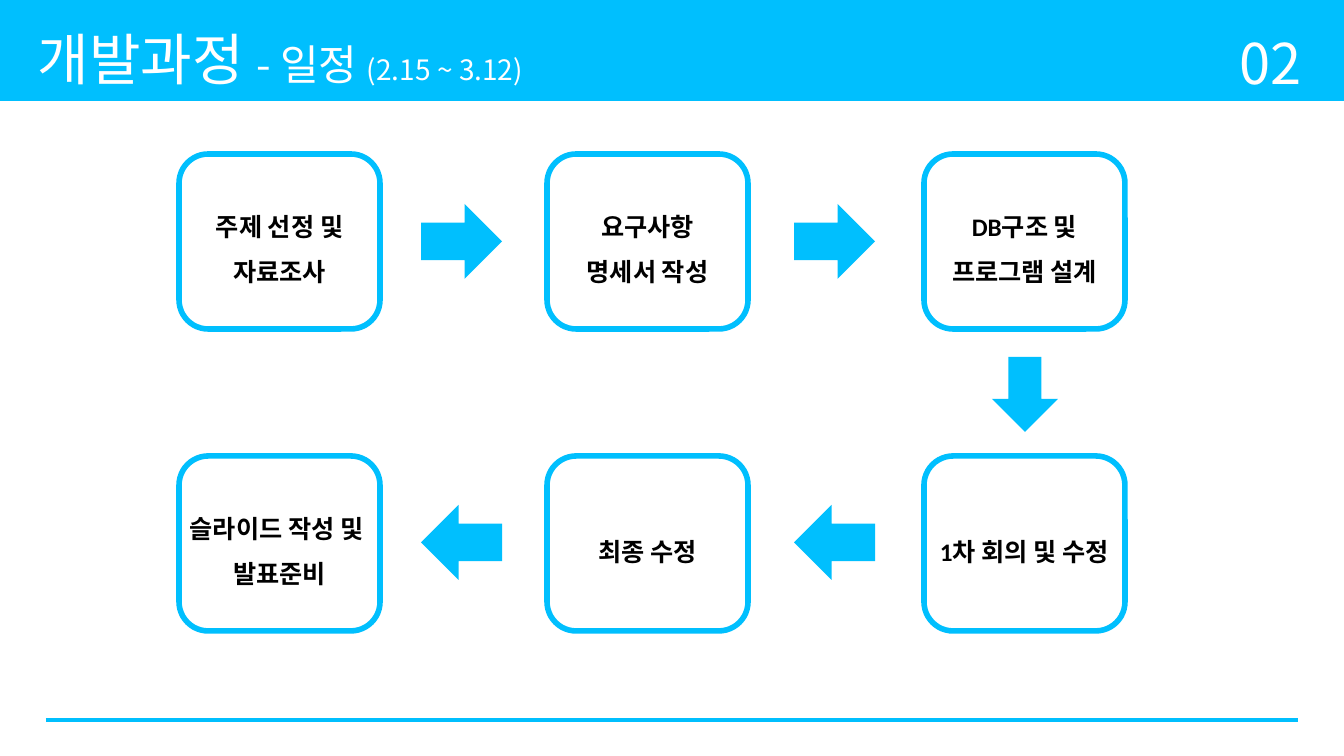
from lxml import etree
from pptx import Presentation
from pptx.dml.color import RGBColor
from pptx.enum.shapes import MSO_CONNECTOR, MSO_SHAPE
from pptx.enum.text import MSO_ANCHOR, PP_ALIGN
from pptx.oxml.ns import qn
from pptx.util import Pt

PX = 914400 / 100.8
SKY = RGBColor(0x00, 0xBF, 0xFE)
WHITE = RGBColor(0xFF, 0xFF, 0xFF)
BLACK = RGBColor(0x00, 0x00, 0x00)
HANGUL = "Noto Sans CJK KR"
LATIN = "Calibri"

RECT = MSO_SHAPE.RECTANGLE
ROUND = MSO_SHAPE.ROUNDED_RECTANGLE
RIGHT = MSO_SHAPE.RIGHT_ARROW
LEFT = MSO_SHAPE.LEFT_ARROW
DOWN = MSO_SHAPE.DOWN_ARROW
STRAIGHT = MSO_CONNECTOR.STRAIGHT
MIDDLE = MSO_ANCHOR.MIDDLE
CENTER = PP_ALIGN.CENTER

COLS = (179, 547, 924)
GAPS = (421, 794)
# Each row: top of its boxes, top of its arrows, arrow kind, box texts
ROWS = (
    (154, 204, RIGHT,
     ("주제 선정 및 자료조사", "요구사항\n명세서 작성", "DB구조 및\n프로그램 설계")),
    (456, 505, LEFT,
     ("슬라이드 작성 및 \n발표준비", "최종 수정", "1차 회의 및 수정")),
)


def px(*nums):
    return [round(n * PX) for n in nums]


def style(run, size, color, face, bold=False):
    """Format a run, with one font for Latin and another for Hangul."""
    font = run.font
    font.size, font.bold, font.name = Pt(size), bold, face
    font.color.rgb = color
    asian = etree.Element(qn("a:ea"), typeface=HANGUL)
    run._r.rPr.find(qn("a:latin")).addnext(asian)


def add_solid(slide, kind, *box):
    shape = slide.shapes.add_shape(kind, *px(*box))
    shape.shadow.inherit = False
    shape.fill.solid()
    shape.fill.fore_color.rgb = SKY
    shape.line.fill.background()
    return shape


def add_step(slide, text, left, top):
    shape = add_solid(slide, ROUND, left, top, 201, 175)
    shape.fill.fore_color.rgb = WHITE
    shape.line.color.rgb = SKY
    shape.line.width = Pt(4)
    frame = shape.text_frame
    frame.margin_left = frame.margin_right = 0
    frame.word_wrap = True
    frame.vertical_anchor = MIDDLE
    frame.text = text
    for para in frame.paragraphs:
        para.alignment = CENTER
        para.line_spacing = 1.5
        for run in para.runs:
            style(run, 18, BLACK, LATIN, True)


def add_label(slide, parts, *box):
    """Write one line from (text, size) parts."""
    frame = slide.shapes.add_textbox(*px(*box)).text_frame
    frame.word_wrap = True
    for text, size in parts:
        run = frame.paragraphs[0].add_run()
        run.text = text
        style(run, size, WHITE, HANGUL)


def add_rule(slide, *ends):
    line = slide.shapes.add_connector(STRAIGHT, *px(*ends))
    line.line.color.rgb = SKY
    line.line.width = Pt(3)
    etree.SubElement(line._element.spPr, qn("a:effectLst"))


def main():
    deck = Presentation()
    deck.slide_width, deck.slide_height = px(1344, 756)
    slide = deck.slides.add_slide(deck.slide_layouts[6])

    add_solid(slide, RECT, 0, 0, 1344, 101)
    title = (("개발과정 ", 40), ("- 일정 ", 30), ("(2.15 ~ 3.12)", 20))
    add_label(slide, title, 28, 20, 732, 77)
    add_label(slide, [("02", 40)], 1230, 24, 100, 77)
    add_rule(slide, 46, 720, 1298, 720)

    for top, mid, arrow, steps in ROWS:
        for left, text in zip(COLS, steps):
            add_step(slide, text, left, top)
        for left in GAPS:
            add_solid(slide, arrow, left, mid, 81, 75)
    add_solid(slide, DOWN, 992, 357, 66, 75)

    deck.save("out.pptx")


if __name__ == "__main__":
    main()
